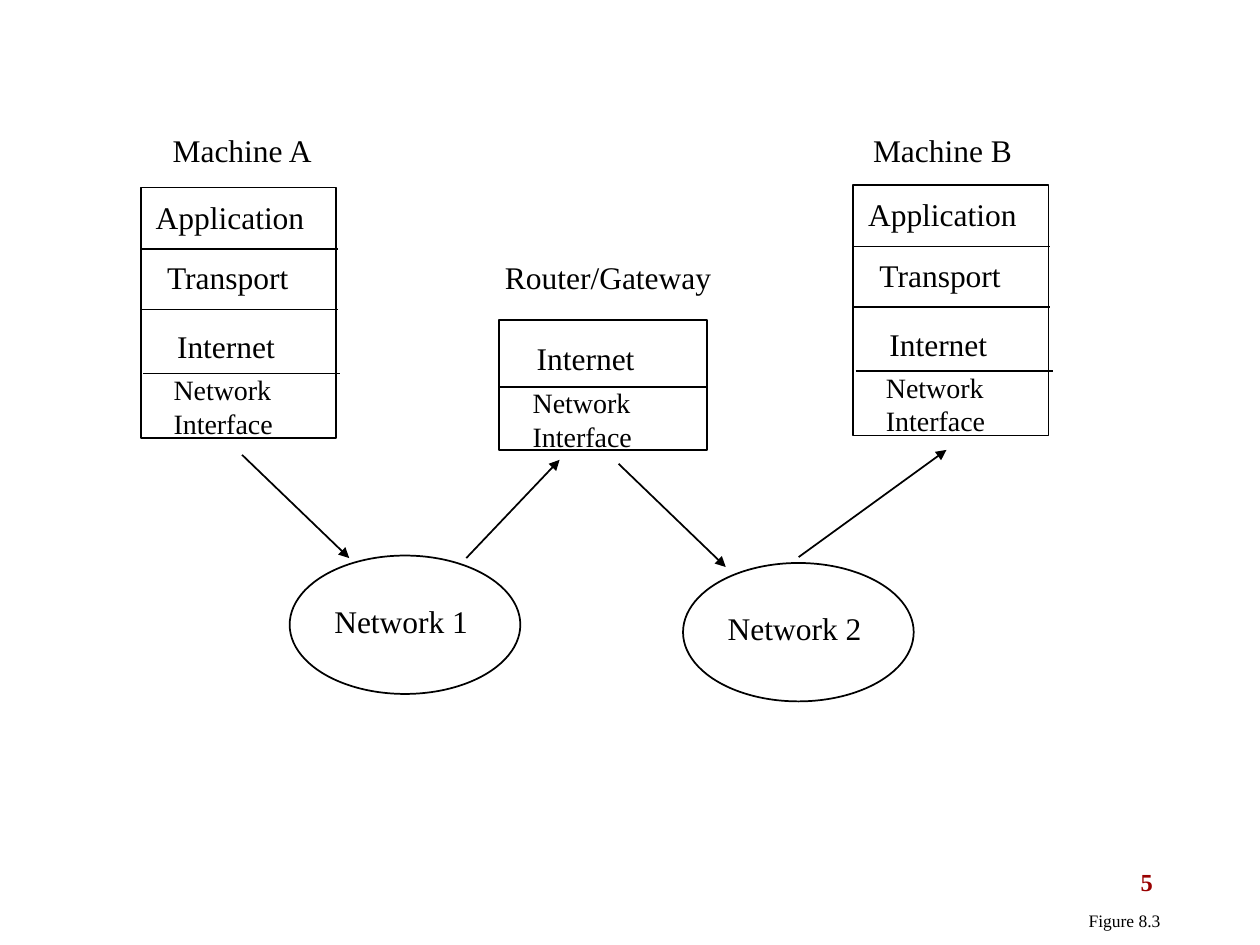
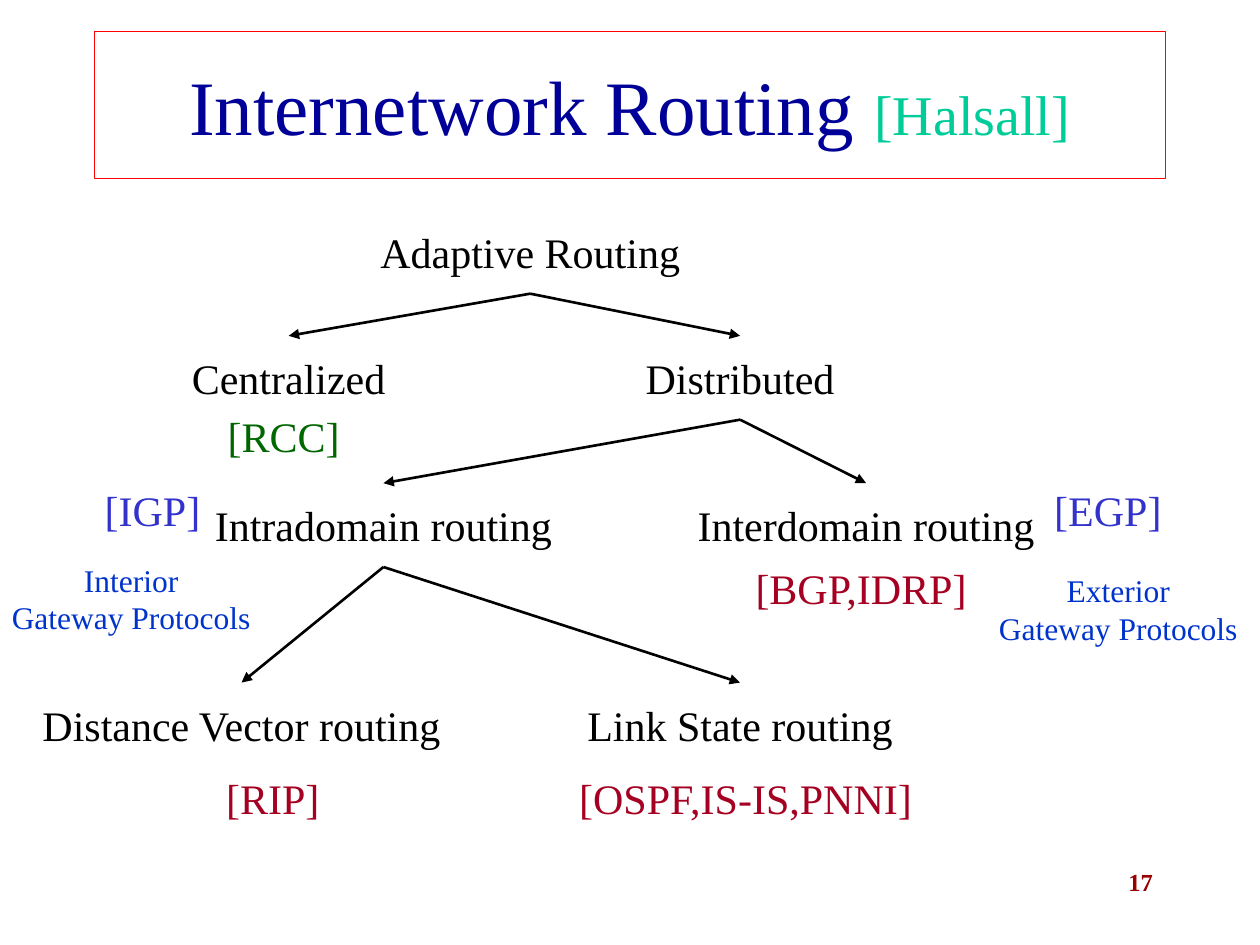
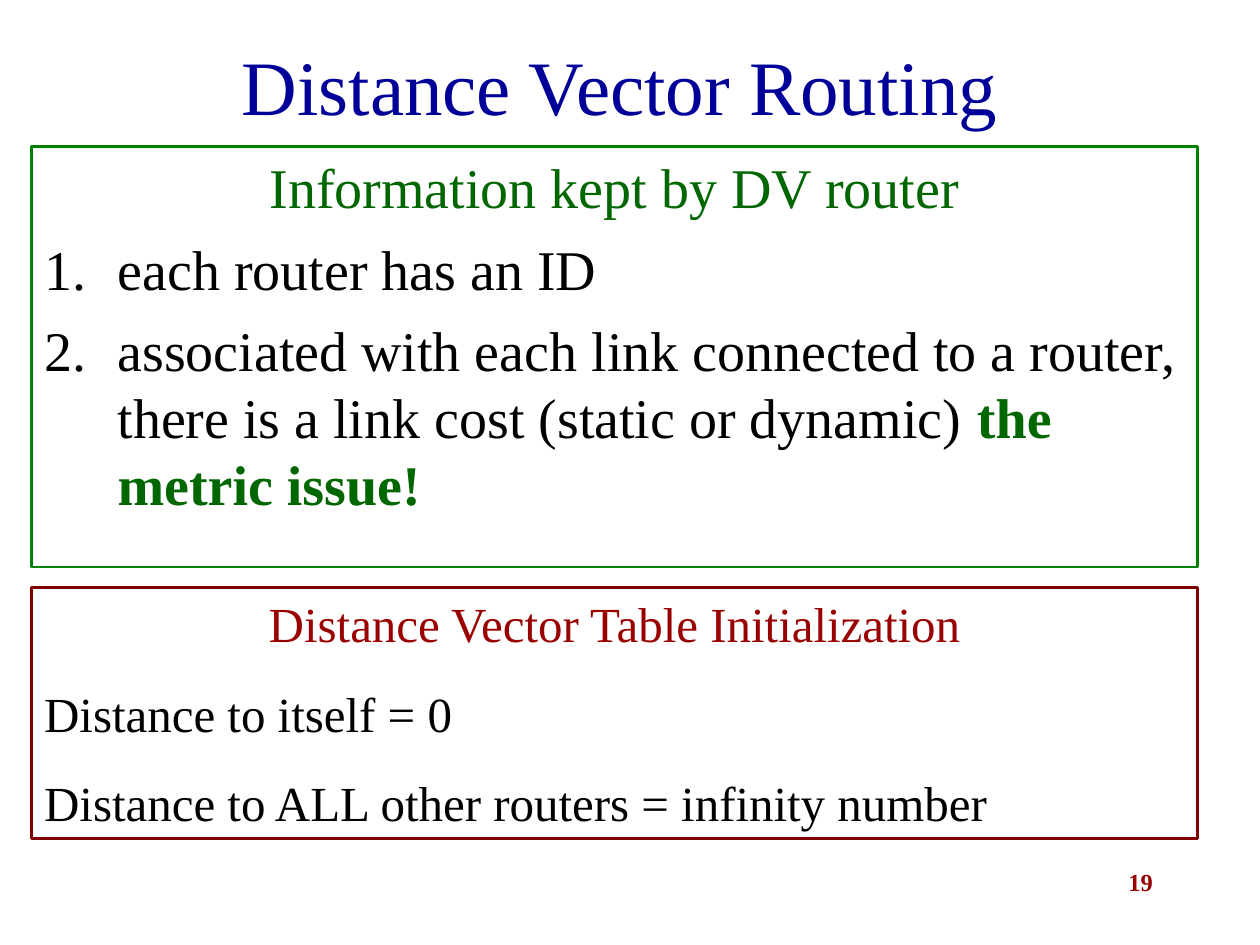
from pptx import Presentation
from pptx.dml.color import RGBColor
from pptx.enum.shapes import MSO_CONNECTOR as LINK, MSO_SHAPE as KIND
from pptx.enum.text import MSO_ANCHOR as ANCHOR, MSO_AUTO_SIZE as AUTO, PP_ALIGN as ALIGN
from pptx.oxml.ns import qn
from pptx.util import Cm, Pt
from lxml.etree import SubElement

BLACK = RGBColor(0, 0, 0)
WHITE = RGBColor(255, 255, 255)
NAVY = RGBColor(0, 0, 0x99)
RED = RGBColor(255, 0, 0)
MAROON = RGBColor(0x80, 0, 0)
BRICK = RGBColor(0x99, 0, 0)
CRIMSON = RGBColor(0xA5, 0, 0x21)
GREEN = RGBColor(0, 0x80, 0)
FOREST = RGBColor(0, 0x66, 0)
MINT = RGBColor(0, 0xCC, 0x99)
INDIGO = RGBColor(0x33, 0x33, 0xCC)
BLUE = RGBColor(0, 0x33, 0xCC)
FONT = "Times New Roman"


# Shared helpers: areas are (left, top, width, height) in cm
def write(frame, lines, size, tone=BLACK, align=ALIGN.LEFT, gap=0,
          wrap=True, mid=False, nums=()):
    """Fill a frame with lines; nums holds the indices of numbered ones."""
    frame.word_wrap = wrap
    frame.vertical_anchor = ANCHOR.MIDDLE if mid else ANCHOR.TOP
    for i, line in enumerate(lines):
        para = frame.add_paragraph() if i else frame.paragraphs[0]
        para.text = line
        para.alignment = ALIGN.LEFT if i in nums else align
        if i and gap:
            para.space_before = Pt(gap)
        if i in nums:
            number(para)
        font = para.font
        font.name, font.size, font.color.rgb = FONT, Pt(size), tone
    return frame.paragraphs


def number(para):
    props = para._p.get_or_add_pPr()
    props.set("marL", str(Cm(1.48)))
    props.set("indent", str(-Cm(1.48)))
    SubElement(props, qn("a:buFont")).set("typeface", "+mj-lt")
    SubElement(props, qn("a:buAutoNum")).set("type", "arabicPeriod")


def add_run(para, text, tone, size, bold=False):
    run = para.add_run()
    run.text = text
    font = run.font
    font.name, font.size, font.bold = FONT, Pt(size), bold
    font.color.rgb = tone


def label(slide, area, text, size=18, wrap=True, **style):
    frame = slide.shapes.add_textbox(*map(Cm, area)).text_frame
    if not wrap:
        frame.auto_size = AUTO.SHAPE_TO_FIT_TEXT
    return write(frame, [text], size, wrap=wrap, **style)


def outline(slide, area, edge=BLACK, width=1, fill=None, kind=KIND.RECTANGLE):
    shape = slide.shapes.add_shape(kind, *map(Cm, area))
    shape.shadow.inherit = False
    if fill is None:
        shape.fill.background()
    else:
        shape.fill.solid()
        shape.fill.fore_color.rgb = fill
    shape.line.color.rgb = edge
    shape.line.width = Pt(width)
    return shape


def stroke(slide, start=(0, 0), end=(0, 0), width=1, arrow=True):
    link = slide.shapes.add_connector(LINK.STRAIGHT, *map(Cm, start + end))
    link.line.color.rgb = BLACK
    link.line.width = Pt(width)
    if arrow:
        SubElement(link.line._get_or_add_ln(), qn("a:tailEnd")).set("type", "triangle")
    SubElement(link._element.spPr, qn("a:effectLst"))
    return link


def new_slide(deck, page):
    slide = deck.slides.add_slide(deck.slide_layouts[6])
    para = label(slide, (18.21, 17.35, 5.28, 1.27), page, 14,
                 tone=BRICK, align=ALIGN.RIGHT)[0]
    para.font.bold = True
    return slide


def heading(slide, text, width, height):
    area = (1.9, 0.64, width, height)
    return label(slide, area, text, 44, tone=NAVY, align=ALIGN.CENTER, mid=True)[0]


# Slide with the layered machines
def stack(slide, area, title, rows, cuts):
    """Title and rows are (text, dx, dy, width); cuts are (dx, dy)."""
    x, y, w, _ = area
    outline(slide, area)
    for dx, dy in cuts:
        stroke(slide, (x + dx, y + dy), (x + dx + w + 0.03, y + dy), arrow=False)
    for text, dx, dy, wide in [title] + rows:
        low = text == "Network Interface"
        label(slide, (x + dx, y + dy, wide, 1.6 if low else 1.02), text,
              16 if low else 18, wrap=low)


def cloud(slide, x, y, name):
    outline(slide, (x, y, 4.65, 2.79), kind=KIND.OVAL)
    label(slide, (x + 0.65, y + 0.81, 3.2, 1.02), name, wrap=False)


def layers(deck):
    slide = new_slide(deck, "5")
    rows = [("Application", 0.05, 0.08, 3.51), ("Transport", 0.28, 1.3, 2.97),
            ("Internet", 0.48, 2.69, 2.49), ("Network Interface", 0.41, 3.61, 3.15)]
    cuts = [(0, 1.24), (0, 2.46), (0.05, 3.75)]
    stack(slide, (2.84, 3.78, 3.94, 5.05), ("Machine A", 0.39, -1.27, 3.4), rows, cuts)
    stack(slide, (17.2, 3.73, 3.94, 5.05), ("Machine B", 0.15, -1.22, 3.4), rows, cuts)
    stack(slide, (10.06, 6.45, 4.19, 2.62), ("Router/Gateway", -0.13, -1.37, 4.67),
          [("Internet", 0.51, 0.25, 2.49), ("Network Interface", 0.43, 1.2, 3.15)],
          [(0, 1.35)])
    cloud(slide, 5.84, 11.2, "Network 1")
    cloud(slide, 13.77, 11.35, "Network 2")

    # Path of the data
    for start, end in [((4.88, 9.17), (7.04, 11.25)), ((9.4, 11.25), (11.28, 9.27)),
                       ((12.47, 9.35), (14.63, 11.43)), ((16.1, 11.23), (19.08, 9.07))]:
        stroke(slide, start, end)
    label(slide, (21.69, 18.21, 1.96, 0.69), "Figure 8.3", 10,
          align=ALIGN.CENTER, wrap=False, mid=True)


# Slide with the routing tree
def plate(slide, area, lines, size=24, tone=BLACK, width=1.5):
    shape = outline(slide, area, WHITE, width, WHITE)
    write(shape.text_frame, lines, size, tone, ALIGN.CENTER, wrap=False, mid=True)
    return shape


def tree(slide):
    # Centre, top, width
    spots = {"Adaptive Routing": (10.69, 4.23, 6.98),
             "Centralized": (5.82, 6.77, 6.98),
             "Distributed": (14.92, 6.77, 6.98),
             "Intradomain routing": (7.73, 9.74, 7.83),
             "Interdomain routing": (17.46, 9.74, 7.83),
             "Distance Vector routing": (4.87, 13.76, 8.46),
             "Link State routing": (14.92, 13.76, 7.83)}
    nodes = [plate(slide, (mid - w / 2, top, w, 1.69), [name], width=0.75)
             for name, (mid, top, w) in spots.items()]
    for up, down in [(0, 1), (0, 2), (2, 4), (2, 3), (3, 5), (3, 6)]:
        link = stroke(slide, width=1.5)
        link.begin_connect(nodes[up], 2)
        link.end_connect(nodes[down], 0)


def routing(deck):
    slide = new_slide(deck, "17")
    outline(slide, (1.9, 0.64, 21.59, 2.96), RED, 0.75)
    title = heading(slide, "Internetwork Routing ", 21.59, 2.96)
    add_run(title, "[Halsall]", MINT, 32)
    tree(slide)

    # Protocol notes
    for text, tone, area in [
            ("[IGP]", INDIGO, (2.12, 9.53, 1.91, 1.48)),
            ("[EGP]", INDIGO, (21.38, 9.53, 1.91, 1.48)),
            ("[BGP,IDRP]", CRIMSON, (14.82, 11.22, 5.08, 1.27)),
            ("[OSPF,IS-IS,PNNI]", CRIMSON, (11.22, 15.45, 7.62, 1.27)),
            ("[RIP]", CRIMSON, (4.23, 15.45, 2.54, 1.27)),
            ("[RCC]", FOREST, (4.45, 8.26, 2.54, 1.06))]:
        plate(slide, area, [text], tone=tone)
    for word, x, tall in [("Interior", 0.21, 1.27), ("Exterior", 20.11, 1.69)]:
        plate(slide, (x, 11.43, 4.87, tall), [word, "Gateway Protocols"], 18, BLUE)


# Slide with the two framed texts
def panel(slide, area, edge, tone, lines, size, gap, nums=()):
    shape = outline(slide, area, edge, 1.5)
    paras = write(shape.text_frame, lines, size, gap=gap, nums=nums)
    paras[0].alignment = ALIGN.CENTER
    paras[0].font.color.rgb = tone
    return paras


def vector(deck):
    slide = new_slide(deck, "19")
    heading(slide, "Distance Vector Routing", 21.2, 2.12)
    paras = panel(slide, (0.64, 2.96, 23.5, 8.47), GREEN, FOREST, [
        "Information kept by DV router",
        "each router has an ID",
        "associated with each link connected to a router, "
        "there is a link cost (static or dynamic) "], 32, 8, nums=(1, 2))
    add_run(paras[2], "the metric issue!", FOREST, 32, bold=True)
    panel(slide, (0.64, 11.85, 23.5, 5.06), MAROON, BRICK, [
        "Distance Vector Table Initialization",
        "Distance to itself = 0",
        "Distance to ALL other routers = infinity number"], 28, 17.5)


def main():
    deck = Presentation()
    deck.slide_width, deck.slide_height = Cm(25.4), Cm(19.05)
    layers(deck)
    routing(deck)
    vector(deck)
    deck.save("out.pptx")


if __name__ == "__main__":
    main()
